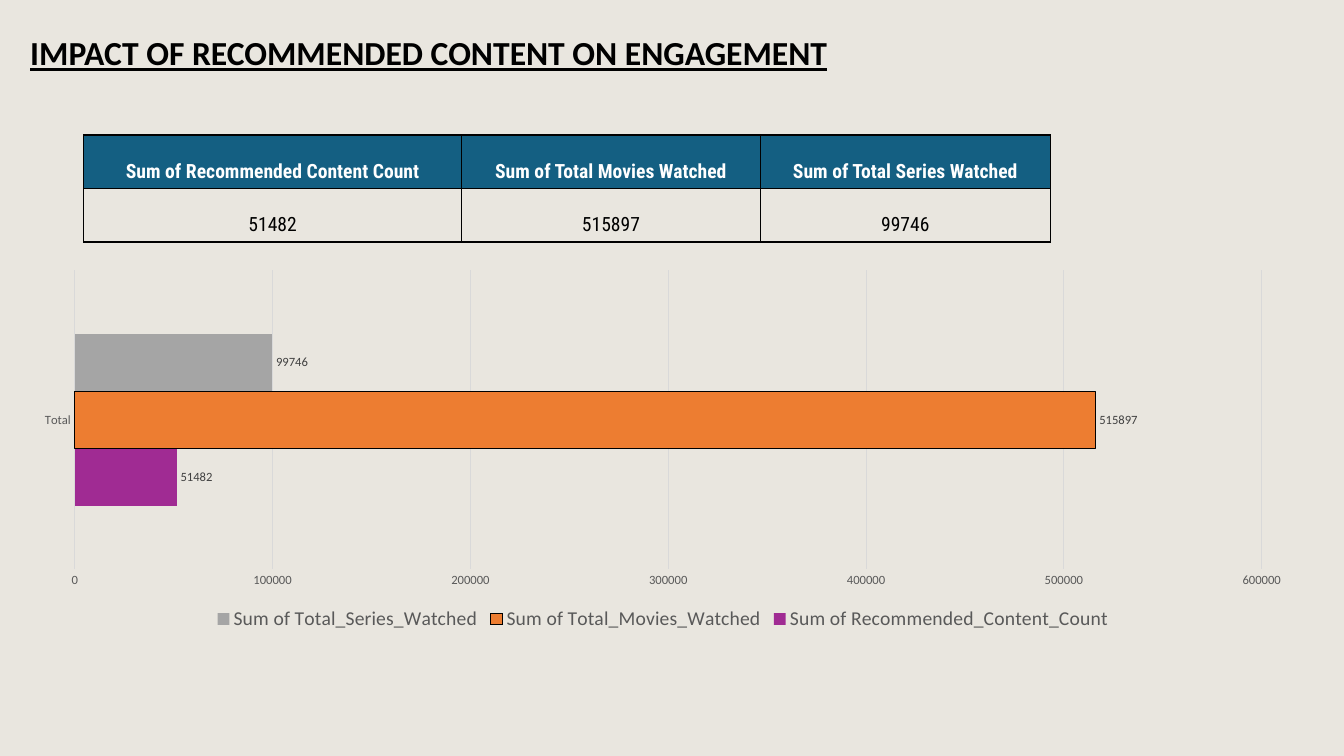
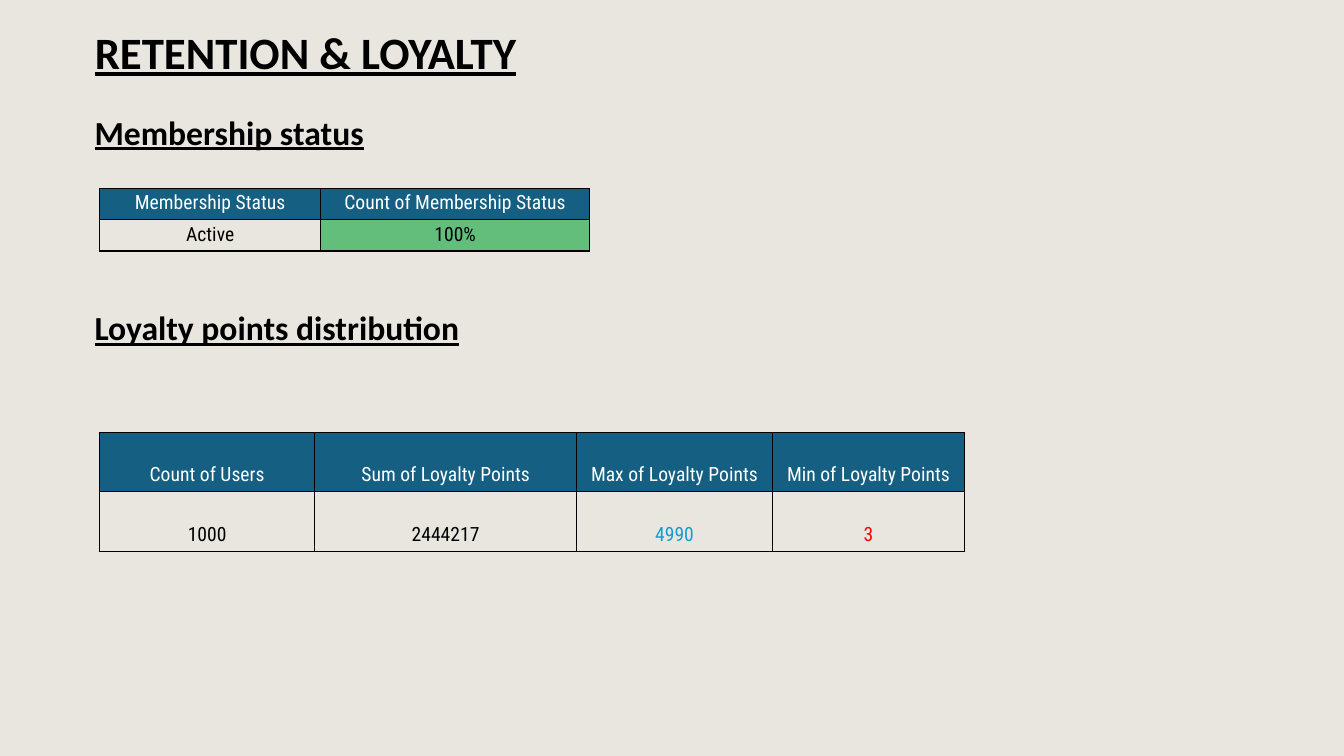
from lxml.etree import SubElement
from pptx import Presentation
from pptx.chart.data import CategoryChartData
from pptx.dml.color import RGBColor
from pptx.enum.chart import XL_CHART_TYPE, XL_LABEL_POSITION, XL_LEGEND_POSITION, XL_TICK_MARK
from pptx.enum.text import MSO_ANCHOR, MSO_AUTO_SIZE, PP_ALIGN
from pptx.oxml.ns import qn
from pptx.util import Emu, Pt

# Shared look
COLORS = {
    "background": "E9E6DF", "black": "000000", "white": "FFFFFF",
    "header": "145F82", "green": "63BE7B", "blue": "0F9ED5", "red": "FF0000",
    "grid": "D9D9D9", "axis": "595959", "label": "404040",
    "purple": "A02B93", "orange": "ED7D31", "gray": "A5A5A5",
}
HEADING_FONT = "Calibri"
TABLE_FONT = "Roboto Condensed"
EMU_PER_PX = 9144  # 100 px to the inch


def px(length):
    return Emu(length * EMU_PER_PX)


def rgb(name):
    return RGBColor.from_string(COLORS[name])


def format_font(font, size, color, name=HEADING_FONT, bold=False, underline=None):
    font.size = Pt(size)
    font.name = name
    font.color.rgb = rgb(color)
    font.bold = bold
    if underline is not None:
        font.underline = underline


def write_text(frame, text, align=PP_ALIGN.LEFT, line_spacing=None, **font_format):
    para = frame.paragraphs[0]
    para.alignment = align
    para.line_spacing = line_spacing
    span = para.add_run()
    span.text = text
    format_font(span.font, **font_format)


def add_titled_page(deck, text, left, top, width, height, size):
    page = deck.slides.add_slide(deck.slide_layouts[5])
    title = page.shapes.title
    title.left, title.top, title.width, title.height = map(px, (left, top, width, height))
    frame = title.text_frame
    frame.auto_size = MSO_AUTO_SIZE.NONE
    frame.vertical_anchor = MSO_ANCHOR.MIDDLE
    write_text(frame, text, line_spacing=0.9, size=size, color="black",
               bold=True, underline=True)
    return page


def add_heading(page, text, left, top, width, height=50):
    box = page.shapes.add_textbox(*map(px, (left, top, width, height)))
    box.text_frame.word_wrap = True
    write_text(box.text_frame, text, size=24, color="black", bold=True, underline=True)


def add_cell_borders(cell):
    properties = cell._tc.get_or_add_tcPr()
    for side in ("a:lnL", "a:lnR", "a:lnT", "a:lnB"):
        line = SubElement(properties, qn(side), w=str(Pt(1)))
        fill = SubElement(line, qn("a:solidFill"))
        SubElement(fill, qn("a:srgbClr"), val=COLORS["black"])


def fill_cell(cell, text, color, fill=None, bold=False):
    cell.margin_left = cell.margin_right = cell.margin_top = px(1)
    cell.margin_bottom = px(5)
    cell.vertical_anchor = MSO_ANCHOR.BOTTOM
    add_cell_borders(cell)
    if fill:
        cell.fill.solid()
        cell.fill.fore_color.rgb = rgb(fill)
    else:
        cell.fill.background()
    write_text(cell.text_frame, text, align=PP_ALIGN.CENTER, size=14, color=color,
               name=TABLE_FONT, bold=bold)


def add_summary_table(page, left, top, row_height, columns, bold_header=False):
    """Each column is (width, header, value, optional value format)."""
    width = sum(column[0] for column in columns)
    table = page.shapes.add_table(
        2, len(columns), *map(px, (left, top, width, 2 * row_height))).table
    table.first_row = table.horz_banding = False
    for row in table.rows:
        row.height = px(row_height)
    for index, (column_width, header, value, *value_format) in enumerate(columns):
        table.columns[index].width = px(column_width)
        fill_cell(table.cell(0, index), header, "white", "header", bold_header)
        options = {"color": "black"}
        options.update(*value_format)
        fill_cell(table.cell(1, index), value, **options)


def format_line(line, color):
    line.color.rgb = rgb(color)
    line.width = Pt(0.75)


def add_bar_chart(page, left, top, width, height, category, series_list):
    """Each series is (name, value, color, outline color or None)."""
    data = CategoryChartData()
    data.categories = [category]
    for name, value, _, _ in series_list:
        data.add_series(name, [value])
    chart = page.shapes.add_chart(
        XL_CHART_TYPE.BAR_CLUSTERED, *map(px, (left, top, width, height)), data).chart
    chart.has_title = False
    format_font(chart.font, 10, "black")

    # Axes and legend
    for axis in (chart.category_axis, chart.value_axis):
        axis.major_tick_mark = axis.minor_tick_mark = XL_TICK_MARK.NONE
        format_font(axis.tick_labels.font, 9, "axis")
    format_line(chart.category_axis.format.line, "grid")
    chart.value_axis.format.line.fill.background()
    chart.value_axis.has_major_gridlines = True
    format_line(chart.value_axis.major_gridlines.format.line, "grid")
    chart.has_legend = True
    chart.legend.position = XL_LEGEND_POSITION.BOTTOM
    chart.legend.include_in_layout = False
    format_font(chart.legend.font, 14, "axis")

    # Bars and value labels
    plot = chart.plots[0]
    plot.gap_width = 219
    plot.vary_by_categories = False
    for series, (_, _, color, outline) in zip(plot.series, series_list):
        series.format.fill.solid()
        series.format.fill.fore_color.rgb = rgb(color)
        if outline:
            format_line(series.format.line, outline)
        labels = series.data_labels
        labels.show_value = True
        labels.position = XL_LABEL_POSITION.OUTSIDE_END
        format_font(labels.font, 9, "label")


def build_engagement_page(deck):
    page = add_titled_page(deck, "IMPACT OF RECOMMENDED CONTENT ON ENGAGEMENT",
                           20, 18, 890, 73, size=24)
    add_summary_table(page, 83, 134, 53, [
        (375, "Sum of Recommended Content Count", "51482"),
        (296, "Sum of Total Movies Watched", "515897"),
        (288, "Sum of Total Series Watched", "99746"),
    ], bold_header=True)
    add_bar_chart(page, 19, 261, 1277, 369, "Total", [
        ("Sum of Recommended_Content_Count", 51482, "purple", None),
        ("Sum of Total_Movies_Watched", 515897, "orange", "black"),
        ("Sum of Total_Series_Watched", 99746, "gray", None),
    ])


def build_loyalty_page(deck):
    page = add_titled_page(deck, "RETENTION & LOYALTY", 84, 15, 986, 79, size=32)
    add_heading(page, "Membership status", 84, 106, 456)
    add_summary_table(page, 99, 187, 31, [
        (219, "Membership Status", "Active"),
        (267, "Count of Membership Status", "100%", {"fill": "green"}),
    ])
    add_heading(page, "Loyalty points distribution", 84, 300, 586)
    add_summary_table(page, 99, 429, 59, [
        (213, "Count of Users", "1000"),
        (260, "Sum of Loyalty Points", "2444217"),
        (194, "Max of Loyalty Points", "4990", {"color": "blue"}),
        (191, "Min of Loyalty Points", "3", {"color": "red"}),
    ])


def main():
    deck = Presentation()
    deck.slide_width, deck.slide_height = px(1333), px(750)
    background = deck.slide_master.background.fill
    background.solid()
    background.fore_color.rgb = rgb("background")
    build_engagement_page(deck)
    build_loyalty_page(deck)
    deck.save("out.pptx")


if __name__ == "__main__":
    main()
